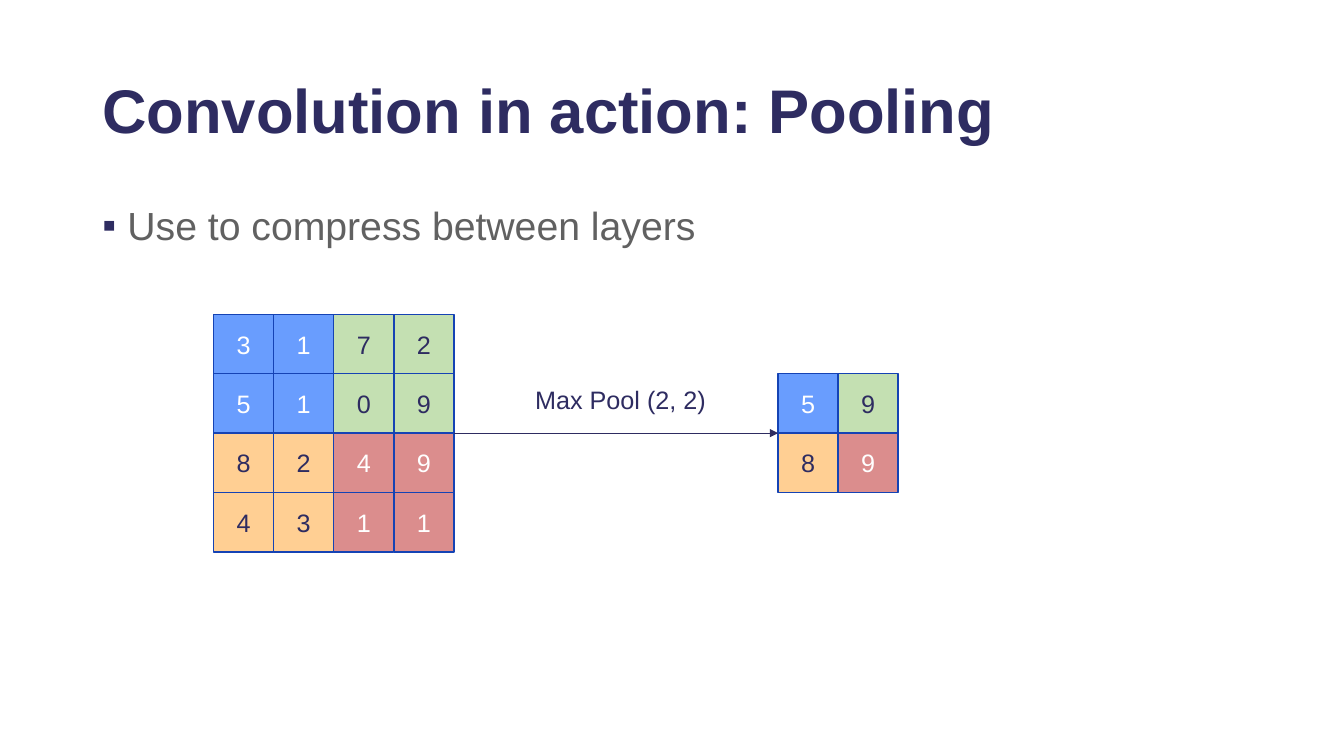
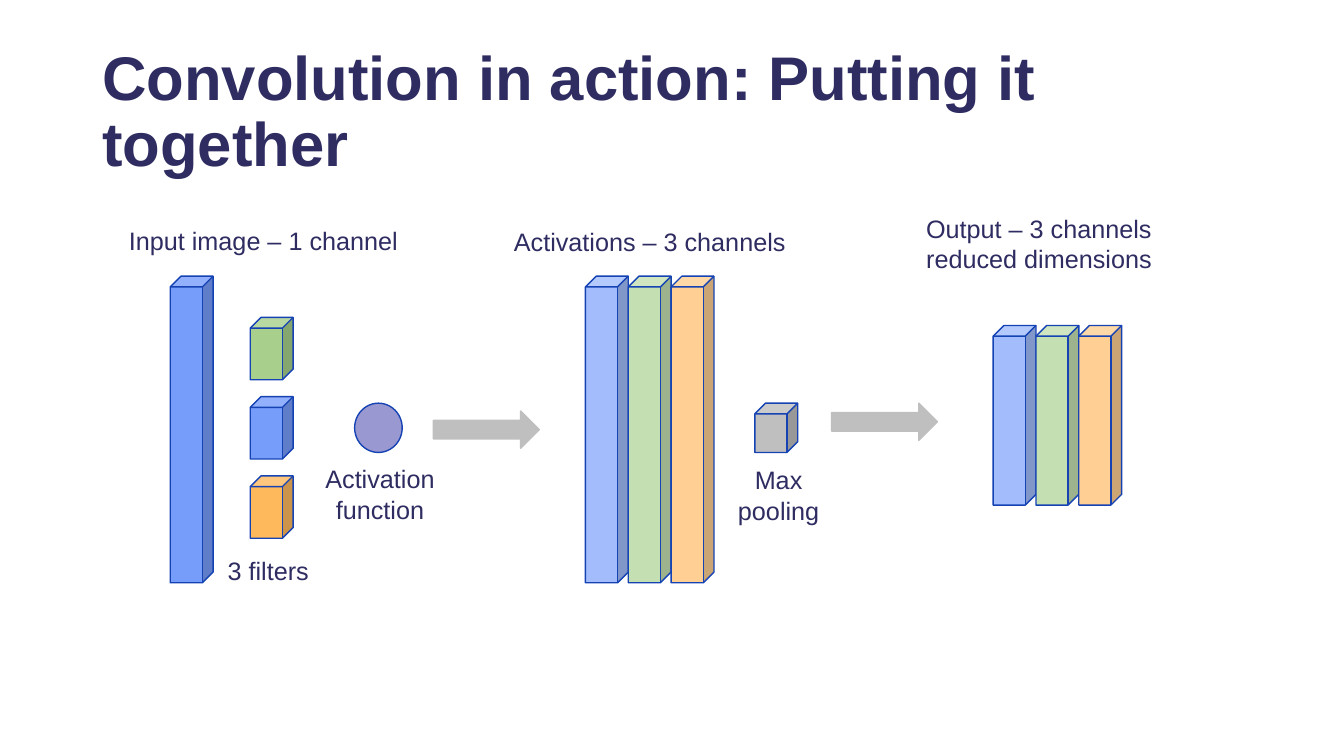
from lxml.etree import SubElement
from pptx import Presentation
from pptx.dml.color import RGBColor
from pptx.enum.shapes import MSO_CONNECTOR as Connector, MSO_SHAPE as Shape
from pptx.enum.text import MSO_ANCHOR as Anchor, MSO_AUTO_SIZE as AutoSize, PP_ALIGN as Align
from pptx.oxml.ns import qn
from pptx.util import Pt

NAVY, GREY_TEXT, WHITE = "2E2C61", "616161", "FFFFFF"
OUTLINE, GREY = "1543B4", "BFBFBF"
BLUE, PALE_BLUE, CELL_BLUE = "779DFA", "A3BDFC", "699DFE"
GREEN, PALE_GREEN = "A8D08C", "C4E0B2"
ORANGE, PALE_ORANGE = "FFB95D", "FFCF93"
RED, PURPLE = "DB8D8D", "9A98D0"

CELL_W, CELL_H = 42.9, 42.4
CUBE_W = 30.6


def rgb(hex_color):
    return RGBColor.from_string(hex_color)


class Deck:
    """Holds the shared style and the slide being drawn."""

    font = "Arial"
    label_size = 18
    title_size = 44
    body_size = 28

    def __init__(self):
        self.prs = Presentation()
        self.prs.slide_width, self.prs.slide_height = Pt(960), Pt(540)
        self.slide = None

    def new_slide(self, title):
        self.slide = self.prs.slides.add_slide(self.prs.slide_layouts[6])
        heading = self.text(title, 66, 28.8, 828, 104.4, self.title_size, bold=True)
        heading.vertical_anchor = Anchor.MIDDLE
        heading.paragraphs[0].line_spacing = 0.9

    def fill_frame(self, frame, text, size, color, align, bold=False):
        frame.word_wrap = True
        frame.text = text
        paragraph = frame.paragraphs[0]
        paragraph.alignment = align
        font = paragraph.runs[0].font
        font.name, font.size, font.bold = self.font, Pt(size), bold
        font.color.rgb = rgb(color)

    def text(self, text, x, y, w, h, size, color=NAVY, align=Align.LEFT, bold=False):
        frame = self.slide.shapes.add_textbox(Pt(x), Pt(y), Pt(w), Pt(h)).text_frame
        self.fill_frame(frame, text, size, color, align, bold)
        return frame

    def label(self, text, x, y, w, h=29, align=Align.LEFT):
        frame = self.text(text, x, y, w, h, self.label_size, align=align)
        frame.auto_size = AutoSize.SHAPE_TO_FIT_TEXT

    def bullet(self, text, x, y, w, h):
        frame = self.text(text, x, y, w, h, self.body_size, GREY_TEXT)
        paragraph = frame.paragraphs[0]
        paragraph.line_spacing = 0.9
        props = paragraph._p.get_or_add_pPr()
        props.set("marL", str(Pt(18)))
        props.set("indent", str(Pt(-18)))
        SubElement(SubElement(props, qn("a:buClr")), qn("a:srgbClr"), val=NAVY)
        SubElement(props, qn("a:buFont"), typeface=self.font)
        SubElement(props, qn("a:buChar"), char="▪")

    def shape(self, kind, x, y, w, h, fill, line=OUTLINE):
        shape = self.slide.shapes.add_shape(kind, Pt(x), Pt(y), Pt(w), Pt(h))
        shape.shadow.inherit = False
        shape.fill.solid()
        shape.fill.fore_color.rgb = rgb(fill)
        shape.line.color.rgb = rgb(line)
        shape.line.width = Pt(1)
        return shape

    def matrix(self, values, fills, x, y):
        """Draw a grid of numbers with one fill for each quadrant."""
        half = len(values) // 2
        for r, row in enumerate(values):
            for c, value in enumerate(row):
                fill = fills[r // half][c // half]
                cell = self.shape(Shape.RECTANGLE, x + c * CELL_W, y + r * CELL_H,
                                  CELL_W, CELL_H, fill)
                color = WHITE if fill in (CELL_BLUE, RED) else NAVY
                self.fill_frame(cell.text_frame, str(value), self.label_size, color,
                                Align.CENTER)

    def cubes(self, fills, x, y, h, dx=CUBE_W, dy=0):
        for i, fill in enumerate(fills):
            self.shape(Shape.CUBE, x + i * dx, y + i * dy, CUBE_W, h, fill)

    def block_arrow(self, x, y):
        self.shape(Shape.RIGHT_ARROW, x, y, 75.6, 26.6, GREY, GREY)

    def arrow(self, x1, y1, x2, y2):
        connector = self.slide.shapes.add_connector(
            Connector.STRAIGHT, Pt(x1), Pt(y1), Pt(x2), Pt(y2))
        connector.line.color.rgb = rgb(NAVY)
        connector.line.width = Pt(0.75)
        props = connector._element.spPr
        SubElement(props.find(qn("a:ln")), qn("a:tailEnd"), type="triangle")
        SubElement(props, qn("a:effectLst"))


def pooling_slide(deck):
    deck.new_slide("Convolution in action: Pooling")
    deck.bullet("Use to compress between layers", 66, 144, 632, 80.6)

    values = [[3, 1, 7, 2], [5, 1, 0, 9], [8, 2, 4, 9], [4, 3, 1, 1]]
    pooled = [[max(values[r][c], values[r][c + 1], values[r + 1][c], values[r + 1][c + 1])
               for c in (0, 2)] for r in (0, 2)]
    fills = [[CELL_BLUE, PALE_GREEN], [PALE_ORANGE, RED]]
    left, top, pooled_left = 152.6, 224.6, 555.8
    middle = top + 2 * CELL_H
    deck.matrix(values, fills, left, top)
    deck.matrix(pooled, fills, pooled_left, middle - CELL_H)
    deck.arrow(left + 4 * CELL_W, middle, pooled_left, middle)
    deck.label("Max Pool (2, 2)", 375.1, 270.7, 137.5)


def pipeline_slide(deck):
    deck.new_slide("Convolution in action: Putting it together")
    channels = [PALE_BLUE, PALE_GREEN, PALE_ORANGE]

    deck.label("Input image – 1 channel", 85, 157.7, 208)
    deck.cubes([BLUE], 121.6, 197.3, 219)
    deck.cubes([GREEN, BLUE, ORANGE], 178.8, 226.7, 44.6, dx=0, dy=56.6)
    deck.label("3 filters", 155.5, 393, 73.5)

    deck.shape(Shape.OVAL, 253.3, 288, 34, 35.2, PURPLE)
    deck.label("Activation function", 215.3, 327.6, 112.3, 51, Align.CENTER)
    deck.block_arrow(309.6, 293.6)

    deck.label("Activations – 3 channels", 360, 158, 210.2)
    deck.cubes(channels, 418.2, 197.3, 219)
    deck.cubes([GREY], 539.2, 288, 35.2)
    deck.label("Max pooling", 505.4, 328.3, 101.5, 51, Align.CENTER)
    deck.block_arrow(594, 288)

    deck.label("Output – 3 channels reduced dimensions", 654.5, 149, 184.3, 51)
    deck.cubes(channels, 709.4, 232.5, 128.3)


def main():
    deck = Deck()
    pooling_slide(deck)
    pipeline_slide(deck)
    deck.prs.save("out.pptx")


if __name__ == "__main__":
    main()
